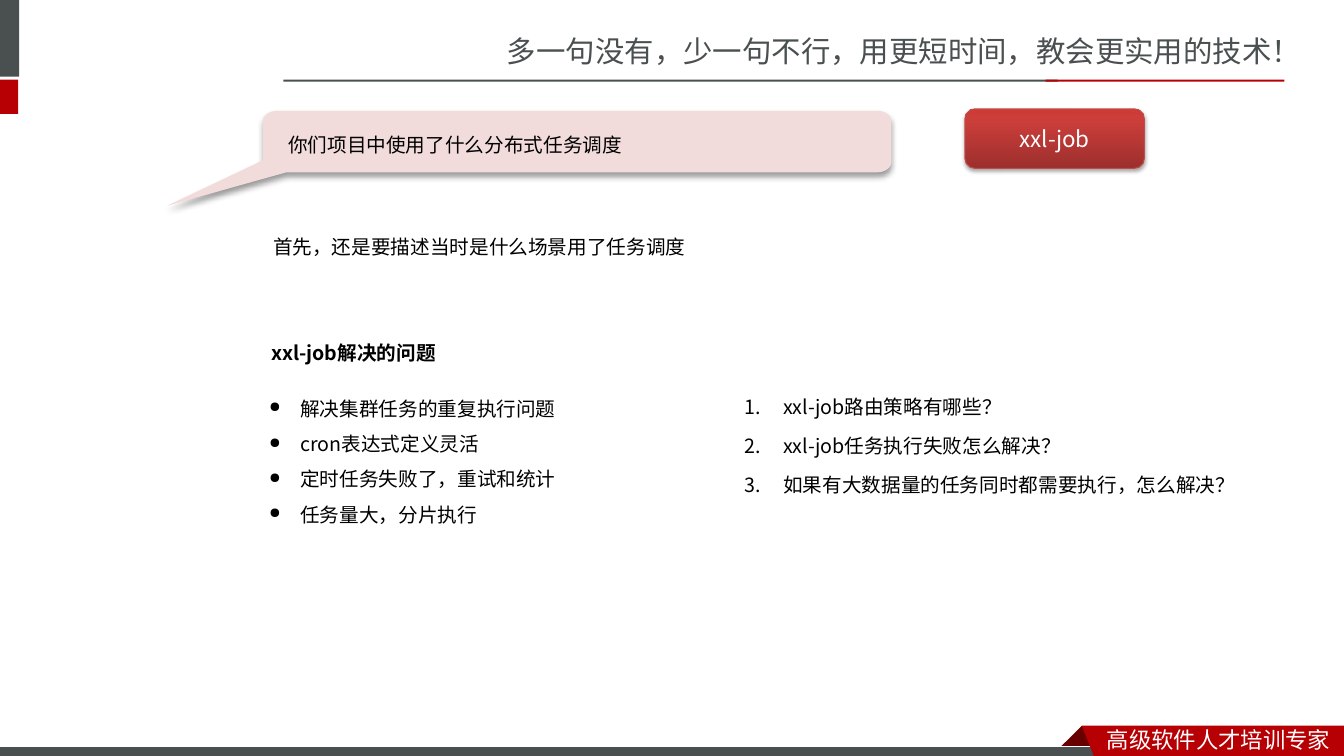
import math

import lxml.etree
import pptx
import pptx.dml.color
import pptx.enum.shapes
import pptx.enum.text
import pptx.oxml.ns
import pptx.util

Inches = pptx.util.Inches
Pt = pptx.util.Pt
SHAPES = pptx.enum.shapes.MSO_SHAPE
ALIGN = pptx.enum.text.PP_ALIGN
ANCHOR = pptx.enum.text.MSO_ANCHOR

COLORS = {
    "gray": "49504F", "red": "B60004", "fold": "680000", "white": "FFFFFF",
    "black": "000000", "bubble": "F2DCDB", "button_line": "BF4C48",
}
BUTTON_STOPS = [(0, "9C2F2D"), (80, "CB3E3A"), (100, "CE3B37")]
HEADING_FONT = "Noto Sans CJK SC"
BODY_FONT = "Noto Sans CJK JP"


def rgb(name):
    """Return the named colour."""
    return pptx.dml.color.RGBColor.from_string(COLORS[name])


def add_element(parent, tag, **attributes):
    """Append a DrawingML element with the given attributes."""
    values = {key: str(value) for key, value in attributes.items()}
    return lxml.etree.SubElement(parent, pptx.oxml.ns.qn("a:" + tag), values)


def write_text(frame, lines, size=14, font=BODY_FONT, color="black", bold=False,
               align=ALIGN.LEFT, spacing=None, before=0, indent=0, bullet=None):
    """Fill a text frame with one paragraph per line."""
    frame.word_wrap = True
    for index, line in enumerate(lines):
        paragraph = frame.add_paragraph() if index else frame.paragraphs[0]
        properties = paragraph._p.get_or_add_pPr()
        if bullet:
            properties.set("marL", str(Inches(indent)))
            properties.set("indent", str(-Inches(indent)))
            if bullet == "number":
                add_element(properties, "buAutoNum", type="arabicPeriod")
            else:
                add_element(properties, "buSzPct", val=75000)
                add_element(properties, "buChar", char=bullet)
        paragraph.alignment = align
        if spacing:
            paragraph.line_spacing = spacing
        if index and before:
            paragraph.space_before = Pt(before)
        run = paragraph.add_run()
        run.text = line
        run.font.size = Pt(size)
        run.font.bold = bold
        run.font.color.rgb = rgb(color)
        run.font.name = font
        add_element(run._r.get_or_add_rPr(), "ea", typeface=font)


def add_text(slide, box, lines, **text_format):
    """Add a text box with formatted lines."""
    shape = slide.shapes.add_textbox(*map(Inches, box))
    write_text(shape.text_frame, lines, **text_format)


def paint(shape, fill, line=None):
    """Give a shape a plain fill and an optional thin outline."""
    shape.shadow.inherit = False
    shape.fill.solid()
    shape.fill.fore_color.rgb = rgb(fill)
    if line:
        shape.line.color.rgb = rgb(line)
        shape.line.width = Pt(0.75)
    else:
        shape.line.fill.background()


def add_shadow(shape, alpha, blur, distance):
    """Add a black shadow that falls straight down."""
    effects = shape._element.spPr.find(pptx.oxml.ns.qn("a:effectLst"))
    shadow = add_element(effects, "outerShdw", blurRad=Pt(blur), dist=Pt(distance),
                         dir=5400000, rotWithShape=0)
    color = add_element(shadow, "srgbClr", val=COLORS["black"])
    add_element(color, "alpha", val=alpha * 1000)


def add_bar(slide, box, fill, line=None):
    """Add a plain rectangle."""
    paint(slide.shapes.add_shape(SHAPES.RECTANGLE, *map(Inches, box)), fill, line)


def add_outline(slide, points, fill):
    """Add a closed polygon through points in inches."""
    corners = [(Inches(x), Inches(y)) for x, y in points]
    builder = slide.shapes.build_freeform(*corners[0])
    builder.add_line_segments(corners[1:], close=True)
    shape = builder.convert_to_shape()
    paint(shape, fill)
    return shape


def add_header(slide, left, top, width):
    """Draw the corner blocks, the slogan and its two-coloured rule."""
    add_bar(slide, (-0.06, 0, 0.25, 0.76), "gray")
    add_bar(slide, (-0.06, top, 0.24, 0.34), "red")
    add_text(slide, (left + 2.12, top - 0.51, 8.41, 0.47),
             ["多一句没有，少一句不行，用更短时间，教会更实用的技术！"],
             size=21, font=HEADING_FONT, color="gray")
    add_bar(slide, (left, top, 7.68, 0.02), "gray")
    add_bar(slide, (left + width - 2.37, top, 2.37, 0.02), "red")


def add_footer(slide, left, top, right):
    """Draw the bottom bar with its folded ribbon."""
    add_outline(slide, [(left, top), (left + 0.22, top + 0.22), (left + 0.21, top + 0.23),
                        (left - 0.21, top + 0.23), (left - 0.22, top + 0.22)], "fold")
    add_bar(slide, (-0.01, top + 0.21, 11, 0.12), "gray", "white")
    add_outline(slide, [(left, top), (right, top), (right, top + 0.34),
                        (left + 0.13, top + 0.33)], "red")
    add_text(slide, (left + 0.15, top - 0.05, 2.45, 0.37), ["高级软件人才培训专家"],
             size=16, font=HEADING_FONT, color="white")


def add_question(slide, left, top, width, height):
    """Draw the speech bubble, its tail at the lower left, and the question."""
    radius_x, radius_y = 0.14, 0.1
    right, bottom = left + width, top + height
    corners = [(left + radius_x, top + radius_y, 180),
               (right - radius_x, top + radius_y, 270),
               (right - radius_x, bottom - radius_y, 0)]
    points = []
    for center_x, center_y, start in corners:
        for step in range(0, 91, 10):
            angle = math.radians(start + step)
            points.append((center_x + radius_x * math.cos(angle),
                           center_y + radius_y * math.sin(angle)))
    points += [(left + 0.23, bottom), (left - 0.95, bottom + 0.33), (left, bottom - 0.12)]
    add_shadow(add_outline(slide, points, "bubble"), 40, 4, 3)
    add_text(slide, (left + 0.15, top + 0.05, 7.18, 0.47),
             ["你们项目中使用了什么分布式任务调度"], spacing=1.5)


def add_button(slide, box):
    """Draw the glossy button that names the scheduler."""
    shape = slide.shapes.add_shape(SHAPES.ROUNDED_RECTANGLE, *map(Inches, box))
    paint(shape, "white", "button_line")
    shape.fill.gradient()
    shape.fill.gradient_angle = 90
    stops = shape._element.spPr.find(".//" + pptx.oxml.ns.qn("a:gsLst"))
    for stop in list(stops):
        stops.remove(stop)
    for position, color in BUTTON_STOPS:
        stop = add_element(stops, "gs", pos=position * 1000)
        add_element(stop, "srgbClr", val=color)
    add_shadow(shape, 35, 3.1, 1.8)
    shape.text_frame.vertical_anchor = ANCHOR.MIDDLE
    write_text(shape.text_frame, ["xxl-job"], size=16, font=HEADING_FONT,
               color="white", align=ALIGN.CENTER)


def add_answer(slide, left, top):
    """Place the opening advice, the solved problems and the follow-up questions."""
    add_text(slide, (left, top, 6.7, 0.41),
             ["首先，还是要描述当时是什么场景用了任务调度"], spacing=1.5)
    add_text(slide, (left - 0.02, top + 1.06, 2.91, 0.45), ["xxl-job解决的问题"],
             bold=True, spacing=1.5)
    add_text(slide, (left - 0.04, top + 1.61, 3.78, 1.47),
             ["解决集群任务的重复执行问题", "cron表达式定义灵活",
              "定时任务失败了，重试和统计", "任务量大，分片执行"],
             spacing=1.5, indent=0.31, bullet="●")
    add_text(slide, (left + 4.68, top + 1.59, 5.16, 1.36),
             ["xxl-job路由策略有哪些？", "xxl-job任务执行失败怎么解决？",
              "如果有大数据量的任务同时都需要执行，怎么解决？"],
             spacing=1.5, before=2.8, indent=0.38, bullet="number")


def main():
    """Build the slide and save it."""
    presentation = pptx.Presentation()
    presentation.slide_width = Inches(13.33)
    presentation.slide_height = Inches(7.5)
    slide = presentation.slides.add_slide(presentation.slide_layouts[6])
    add_header(slide, 2.81, 0.79, 9.93)
    add_footer(slide, 10.73, 7.2, 13.33)
    add_question(slide, 2.61, 1.1, 6.23, 0.61)
    add_button(slide, (9.57, 1.08, 1.78, 0.59))
    add_answer(slide, 2.61, 2.16)
    presentation.save("out.pptx")


if __name__ == "__main__":
    main()
